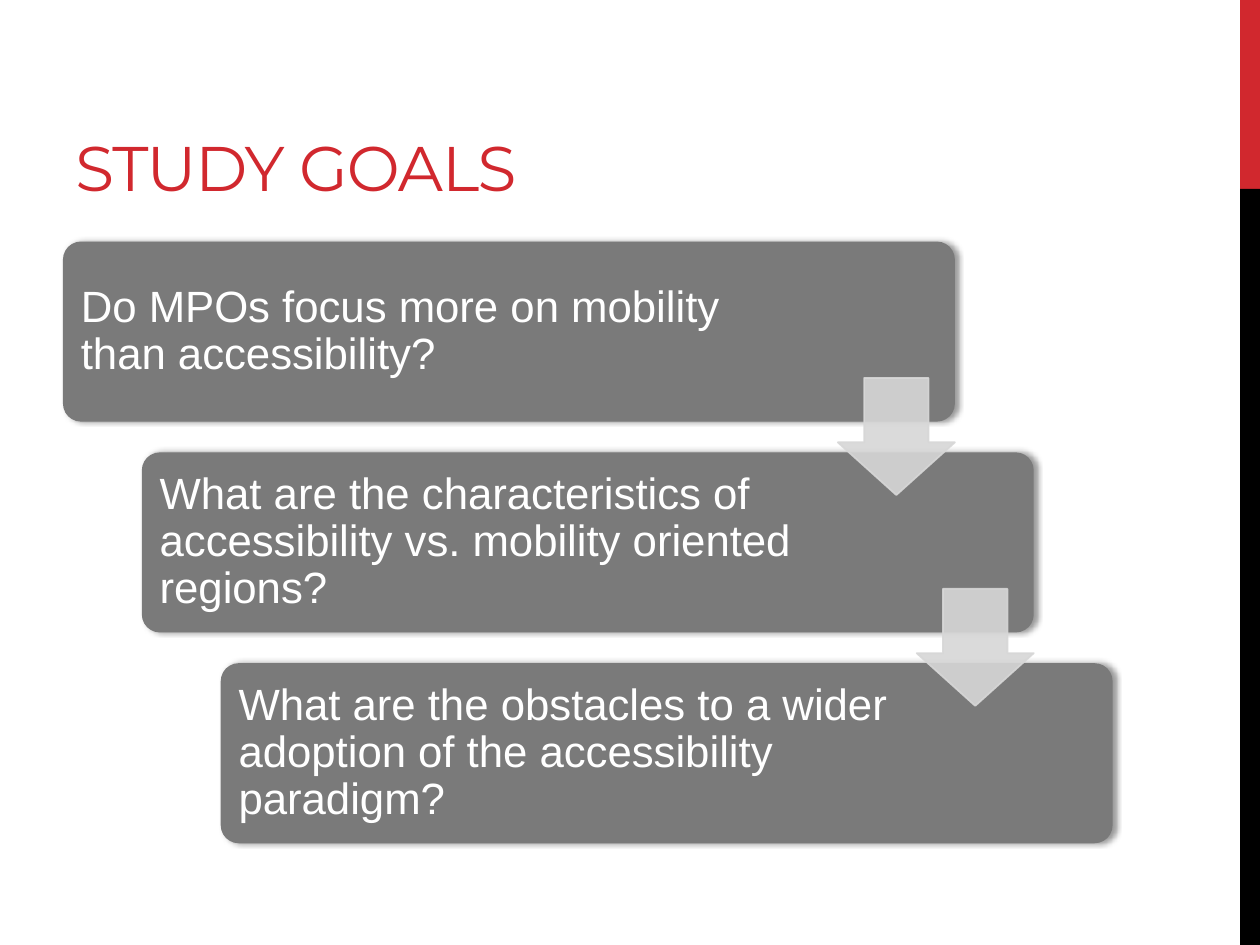
import pptx
import pptx.dml.color
import pptx.enum.shapes
import pptx.enum.text
import pptx.oxml
import pptx.oxml.ns
import pptx.util

Cm = pptx.util.Cm
Pt = pptx.util.Pt
RGBColor = pptx.dml.color.RGBColor
SHAPE = pptx.enum.shapes.MSO_SHAPE
ANCHOR = pptx.enum.text.MSO_ANCHOR

RED = RGBColor(0xD1, 0x28, 0x2E)
BLACK = RGBColor(0, 0, 0)
WHITE = RGBColor(0xFF, 0xFF, 0xFF)
GRAY = RGBColor(0x7A, 0x7A, 0x7A)
LIGHT_GRAY = RGBColor(0xD7, 0xD7, 0xD7)

GOALS = [
    ("Do MPOs focus more on mobility than accessibility?", 14.05),
    ("What are the characteristics of accessibility vs. mobility oriented regions?", 13.82),
    ("What are the obstacles to a wider adoption of the accessibility paradigm?", 13.82),
]
LEFT, TOP = 1.27, 4.87
STEP_X, STEP_Y = 1.59, 4.25
CARD_W, CARD_H = 17.98, 3.63
INSET = 0.11
ARROW = 2.36
ARROW_LEFT, ARROW_TOP = 16.89, 7.62


def add_shape(s, kind, x, y, w, h, color, adjustments=()):
    sp = s.shapes.add_shape(kind, Cm(x), Cm(y), Cm(w), Cm(h))
    sp.shadow.inherit = False
    sp.fill.solid()
    sp.fill.fore_color.rgb = color
    sp.line.fill.background()
    for i, value in enumerate(adjustments):
        sp.adjustments[i] = value
    return sp


def add_text(s, text, x, y, w, h, size, font, color, anchor):
    sp = s.shapes.add_textbox(Cm(x), Cm(y), Cm(w), Cm(h))
    tf = sp.text_frame
    tf.word_wrap = True
    tf.vertical_anchor = anchor
    tf.text = text
    p = tf.paragraphs[0]
    r = p.runs[0]
    r.font.size = Pt(size)
    r.font.name = font
    r.font.color.rgb = color
    return sp


def add_shadow(sp):
    effects = sp._element.spPr.find(pptx.oxml.ns.qn("a:effectLst"))
    effects.append(pptx.oxml.parse_xml(
        f'<a:outerShdw {pptx.oxml.ns.nsdecls("a")} blurRad="{Pt(3.1)}" '
        f'dist="{Pt(1.8)}" dir="0" rotWithShape="0">'
        '<a:srgbClr val="000000"><a:alpha val="40000"/></a:srgbClr></a:outerShdw>'))


def add_title(s, text):
    sp = add_text(s, text, 1.27, 0.43, 16.08, 3.81, 36, "Montserrat", RED, ANCHOR.BOTTOM)
    r = sp.text_frame.paragraphs[0].runs[0]
    r._r.get_or_add_rPr().set("spc", "-60")


def add_goal(s, i, text, text_width):
    x, y = LEFT + i * STEP_X, TOP + i * STEP_Y
    card = add_shape(s, SHAPE.ROUNDED_RECTANGLE, x, y, CARD_W, CARD_H, GRAY, [0.1])
    add_shadow(card)
    sp = add_text(s, text, x + INSET, y + INSET, text_width, CARD_H - 2 * INSET,
                  25, "Arial", WHITE, ANCHOR.MIDDLE)
    tf = sp.text_frame
    tf.margin_left = tf.margin_right = tf.margin_top = tf.margin_bottom = Cm(0.25)
    p = tf.paragraphs[0]
    p.line_spacing = 0.9
    p.space_after = Pt(8.75)


def add_arrow(s, i):
    sp = add_shape(s, SHAPE.DOWN_ARROW, ARROW_LEFT + i * STEP_X, ARROW_TOP + i * STEP_Y,
                   ARROW, ARROW, LIGHT_GRAY, [0.55, 0.45])
    sp.line.color.rgb = LIGHT_GRAY
    sp.line.width = Pt(1)
    for color in sp._element.spPr.iter(pptx.oxml.ns.qn("a:srgbClr")):
        color.append(pptx.oxml.parse_xml(
            f'<a:alpha {pptx.oxml.ns.nsdecls("a")} val="90000"/>'))


def main():
    prs = pptx.Presentation()
    prs.slide_width, prs.slide_height = Cm(25.4), Cm(19.05)
    s = prs.slides.add_slide(prs.slide_layouts[6])
    add_shape(s, SHAPE.RECTANGLE, 25, 0, 0.4, 3.81, RED)
    add_shape(s, SHAPE.RECTANGLE, 25, 3.81, 0.4, 15.24, BLACK)
    add_title(s, "STUDY GOALS")
    for i, (text, text_width) in enumerate(GOALS):
        add_goal(s, i, text, text_width)
    for i in range(len(GOALS) - 1):
        add_arrow(s, i)
    prs.save("out.pptx")


if __name__ == "__main__":
    main()
